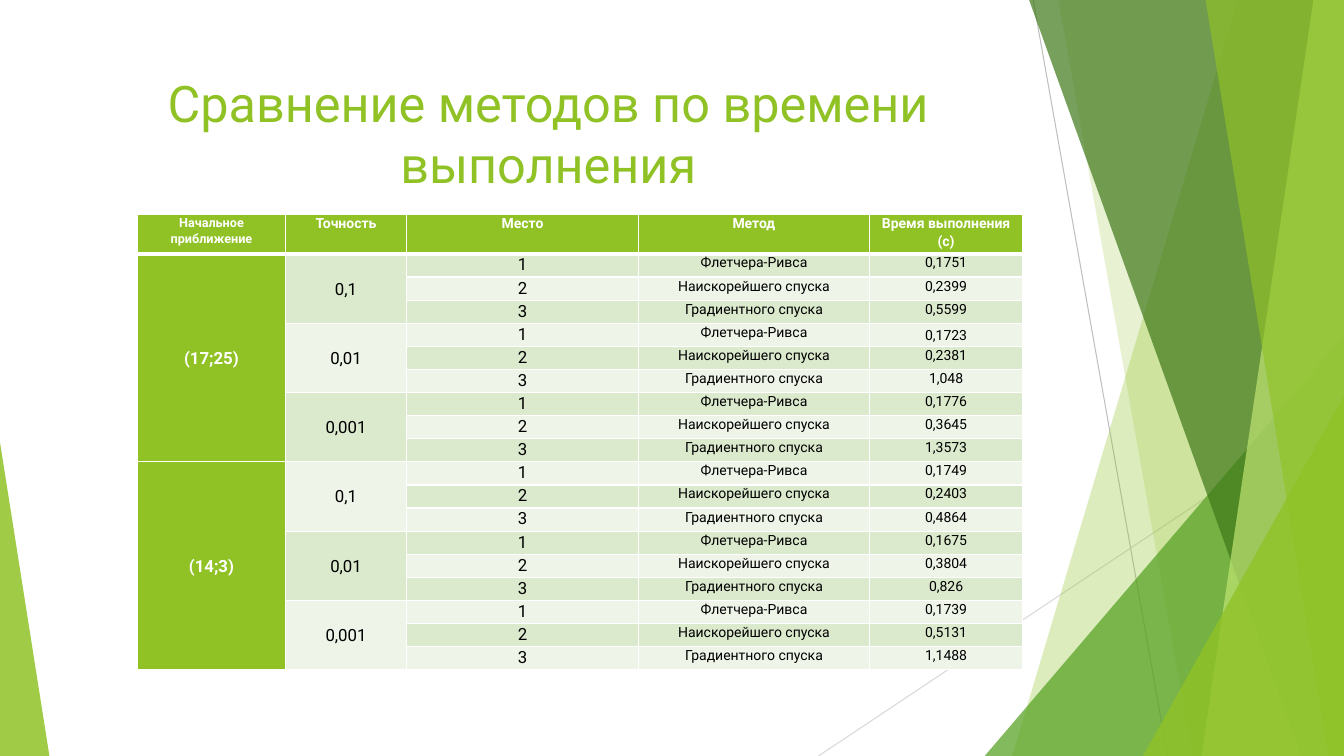
"""Build a slide comparing optimisation methods by running time."""
from lxml import etree
from pptx import Presentation
from pptx import util as u
from pptx.dml.color import RGBColor
from pptx.enum import shapes, text
from pptx.oxml import ns

COLORS = {
    "lime": "90C226", "green": "54A021", "forest": "3F7819", "pale": "C0E474",
    "white": "FFFFFF", "black": "000000", "band_dark": "DBE9CD", "band_light": "EEF4E8",
    "line_dark": "BFBFBF", "line_light": "D9D9D9",
}
WIDTH, HEIGHT = 960, 540


def paint(shape, color, opacity):
    shape.shadow.inherit = False
    shape.line.fill.background()
    shape.fill.solid()
    shape.fill.fore_color.rgb = RGBColor.from_string(COLORS[color])
    tint = shape.fill._xPr.find(".//" + ns.qn("a:srgbClr"))
    etree.SubElement(tint, ns.qn("a:alpha"), val=str(opacity * 1000))


def write(frame, words, size, color, bold=False, spacing=1.0):
    para = frame.paragraphs[0]
    para.alignment = text.PP_ALIGN.CENTER
    para.line_spacing = spacing
    span = para.add_run()
    span.text = words
    looks = {"name": "Roboto", "size": u.Pt(size), "bold": bold}
    for name, value in looks.items():
        setattr(span.font, name, value)
    span.font.color.rgb = RGBColor.from_string(COLORS[color])


deck = Presentation()
deck.slide_width, deck.slide_height = u.Pt(WIDTH), u.Pt(HEIGHT)
page = deck.slides.add_slide(deck.slide_layouts[6])

thin_lines = [
    ((738, 0, 834, HEIGHT), "line_dark"),
    ((WIDTH, 290, 584.6, HEIGHT), "line_light"),
]
for ends, color in thin_lines:
    line = page.shapes.add_connector(shapes.MSO_CONNECTOR.STRAIGHT, *map(u.Pt, ends))
    line.line.width = u.Pt(0.75)
    line.line.color.rgb = RGBColor.from_string(COLORS[color])
    etree.SubElement(line._element.spPr, ns.qn("a:effectLst"))

facets = [
    ("band", (884.2, 723), "lime", 30),
    ("band", (756, 851.8), "lime", 20),
    ("triangle", (703.4, 239.8, 256.6, 300.2, 1), "green", 72),
    ("band", (735.1, 929.5), "forest", 70),
    ("band", (938.2, 858.2), "pale", 70),
    ("band", (861.1, 949), "lime", 65),
    ("triangle", (816.5, 283, 143.5, 257, 1), "lime", 80),
    ("triangle", (0, 316, 35.3, 224, 0), "lime", 85),
]
for kind, place, color, opacity in facets:
    if kind == "band":
        top, bottom = place
        outline = page.shapes.build_freeform(u.Pt(top), 0)
        corners = [(WIDTH, 0), (WIDTH, HEIGHT), (bottom, HEIGHT)]
        outline.add_line_segments([(u.Pt(x), u.Pt(y)) for x, y in corners])
        facet = outline.convert_to_shape()
    else:
        *bounds, apex = place
        facet = page.shapes.add_shape(
            shapes.MSO_SHAPE.ISOSCELES_TRIANGLE, *map(u.Pt, bounds))
        facet.adjustments[0] = apex
    paint(facet, color, opacity)

title = page.shapes.add_textbox(*map(u.Pt, (53.3, 48.2, 676.8, 103.7)))
title.text_frame.word_wrap = True
write(title.text_frame, "Сравнение методов по времени выполнения", 36, "lime")

headings = ["Начальное приближение", "Точность", "Место", "Метод", "Время выполнения (с)"]
starts = ["(17;25)", "(14;3)"]
precisions = ["0,1", "0,01", "0,001"]
methods = ["Флетчера-Ривса", "Наискорейшего спуска", "Градиентного спуска"]
times = [
    "0,1751", "0,2399", "0,5599", "0,1723", "0,2381", "1,048",
    "0,1776", "0,3645", "1,3573", "0,1749", "0,2403", "0,4864",
    "0,1675", "0,3804", "0,826", "0,1739", "0,5131", "1,1488",
]
rows = [headings]
for index, time in enumerate(times):
    start = starts[index // 9] if index % 9 == 0 else ""
    precision = precisions[index // 3 % 3] if index % 3 == 0 else ""
    rows.append([start, precision, str(index % 3 + 1), methods[index % 3], time])

column_widths = [105.5, 86.8, 165.3, 165.3, 109.2]
row_heights = [28] + [16.5] * len(times)
grid = page.shapes.add_table(
    len(rows), len(headings), u.Pt(98.3), u.Pt(153.4),
    u.Pt(sum(column_widths)), u.Pt(sum(row_heights))).table
grid.first_row = grid.horz_banding = False
for column, width in zip(grid.columns, column_widths):
    column.width = u.Pt(width)
for row, height in zip(grid.rows, row_heights):
    row.height = u.Pt(height)

for r, row in enumerate(rows):
    for c, words in enumerate(row):
        cell = grid.cell(r, c)
        centred = r > 0 and c < 2 or words == "0,1723"
        layout = {
            "margin_left": u.Pt(4.3), "margin_right": u.Pt(4.3),
            "margin_top": 0, "margin_bottom": 0,
            "vertical_anchor": text.MSO_ANCHOR.MIDDLE if centred else text.MSO_ANCHOR.TOP,
        }
        for name, value in layout.items():
            setattr(cell, name, value)
        solid = r == 0 or c == 0
        if words:
            size = 9 if r == c == 0 else 12 if r and c < 3 else 10
            write(cell.text_frame, words, size, "white" if solid else "black", solid, 1.07)
        for side in "LRTB":
            thick = (r, side) in [(0, "B"), (1, "T")]
            edge = etree.SubElement(
                cell._tc.get_or_add_tcPr(), ns.qn("a:ln" + side),
                w=str(u.Pt(3 if thick else 1)))
            fill = etree.SubElement(edge, ns.qn("a:solidFill"))
            etree.SubElement(fill, ns.qn("a:srgbClr"), val=COLORS["white"])
        cell.fill.solid()
        band = "lime" if solid else "band_dark" if r % 2 else "band_light"
        cell.fill.fore_color.rgb = RGBColor.from_string(COLORS[band])

for column, span_rows in enumerate([9, 3]):
    for first in range(1, len(rows), span_rows):
        grid.cell(first, column).merge(grid.cell(first + span_rows - 1, column))

deck.save("out.pptx")
